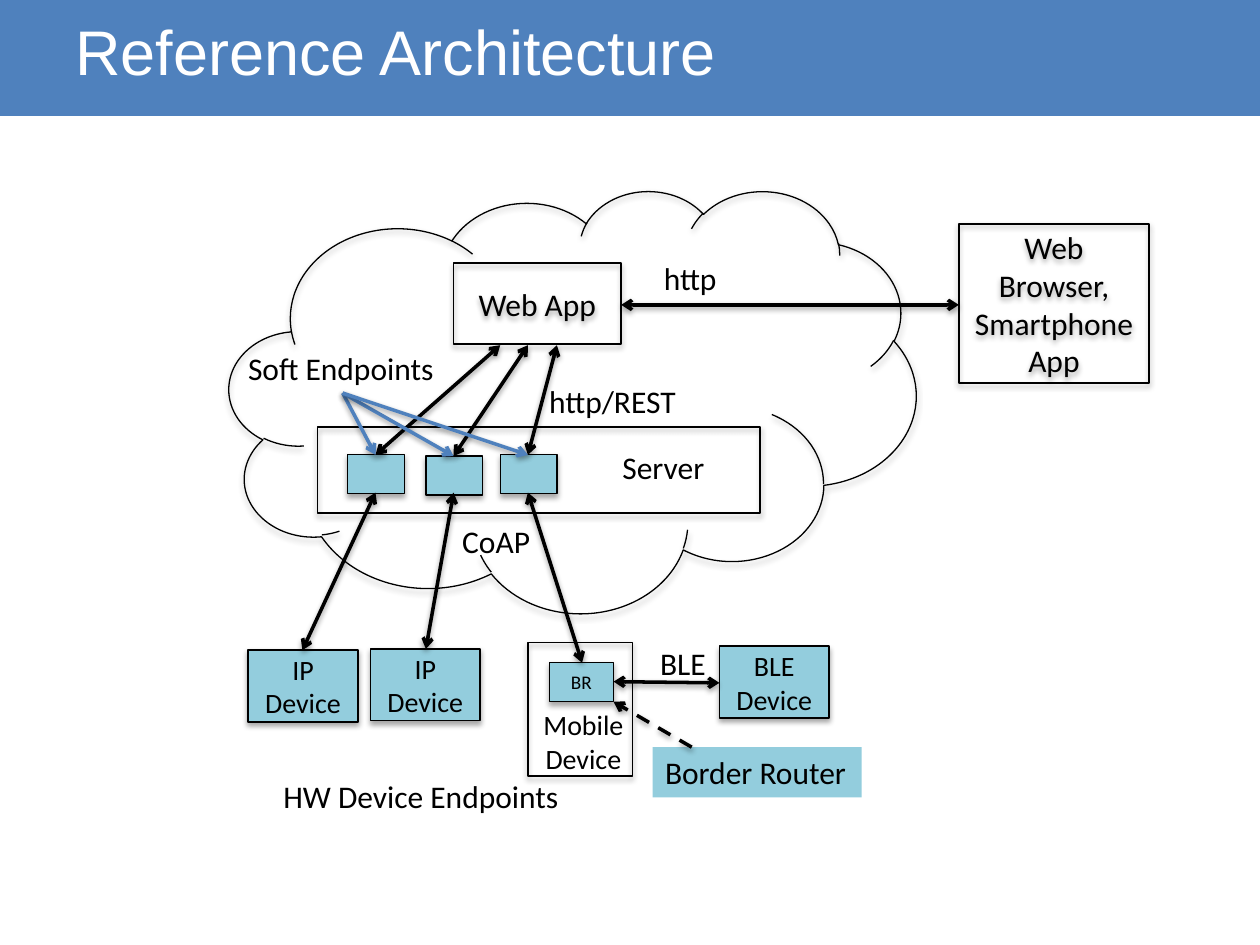
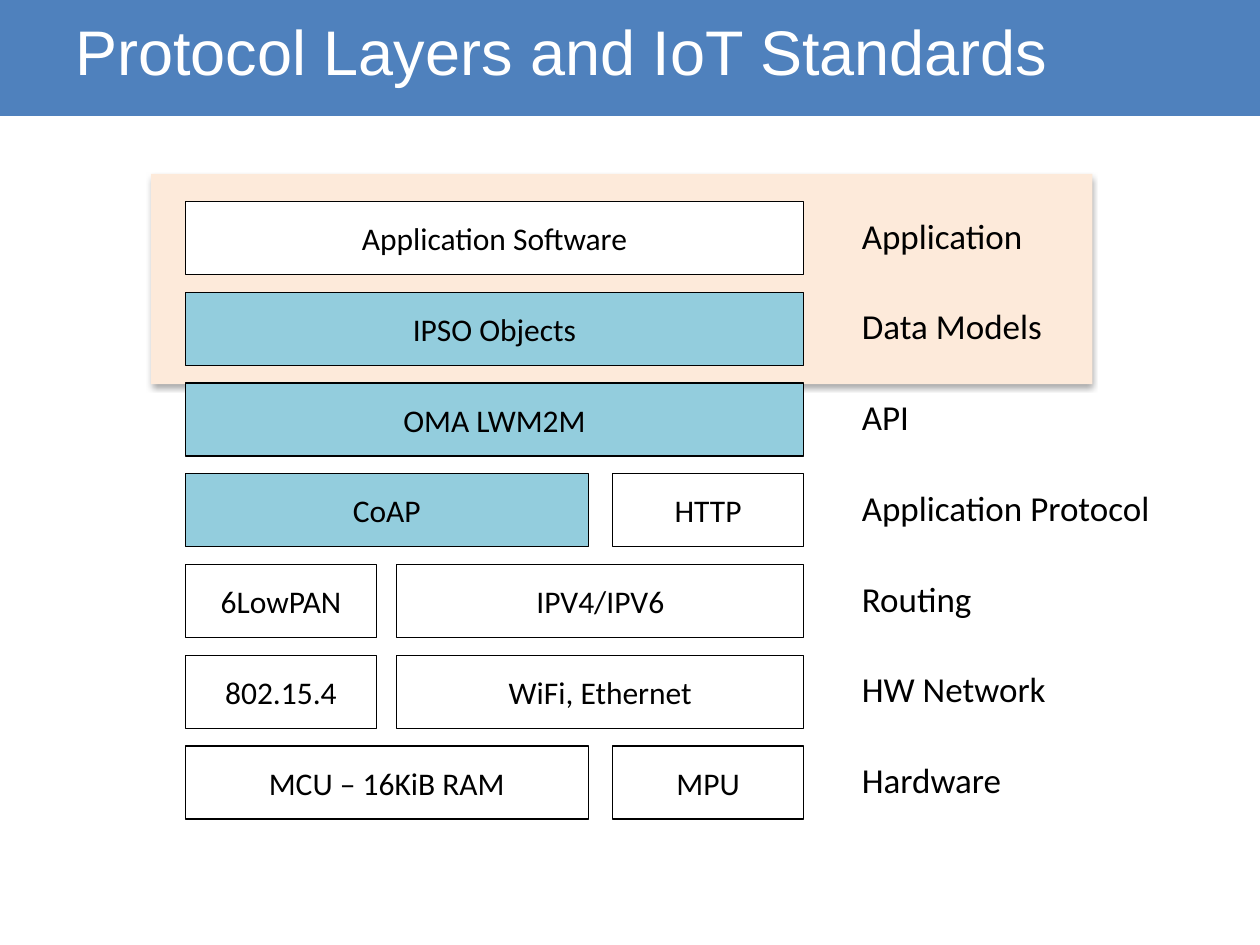
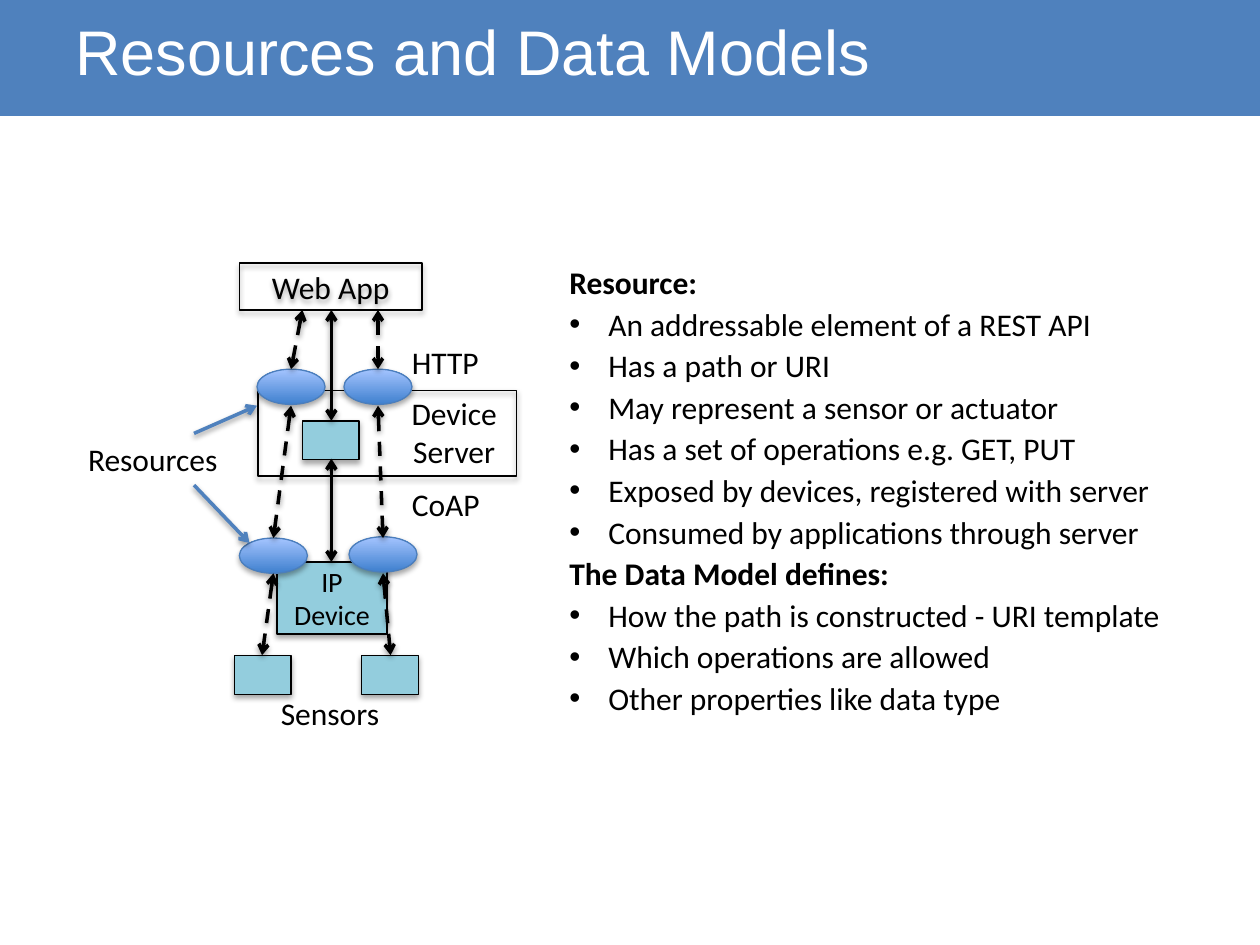
from pptx import Presentation
from pptx.dml.color import RGBColor as RGB
from pptx.enum.dml import MSO_LINE as Dash
from pptx.enum.shapes import MSO_CONNECTOR as Link, MSO_SHAPE as Kind
from pptx.enum.text import MSO_ANCHOR as Anchor, PP_ALIGN as Align
from pptx.oxml import parse_xml
from pptx.oxml.ns import nsdecls
from pptx.util import Inches, Pt

INK = {"blue": "4F81BD", "aqua": "93CDDD", "peach": "FDEADA", "black": "000000",
       "white": "FFFFFF", "deep": "3F80CE", "pale": "A4C4FF", "rim": "4B7EBC"}
NS = nsdecls("a")
SHADE = (f'<a:effectLst {NS}><a:outerShdw blurRad="40000" dist="%d" dir="5400000" '
         'rotWithShape="0"><a:srgbClr val="000000"><a:alpha val="%d"/></a:srgbClr>'
         '</a:outerShdw></a:effectLst>')


def box(page, x, y, w, h, text="", fill=None, line=None, size=18, kind=Kind.RECTANGLE,
        shade=False, color="black", font="Calibri", mid=True, wrap=True):
    """Add a shape, or a text box when kind is None; line is a width in points."""
    spot = [Inches(n) for n in (x, y, w, h)]
    shapes = page.shapes
    item = shapes.add_textbox(*spot) if kind is None else shapes.add_shape(kind, *spot)
    if fill:
        item.fill.solid()
        item.fill.fore_color.rgb = RGB.from_string(INK[fill])
    else:
        item.fill.background()
    if line:
        item.line.color.rgb = RGB.from_string(INK["black"])
        item.line.width = Pt(line)
    else:
        item.line.fill.background()
    if shade:
        item._element.spPr.append(parse_xml(SHADE % (23000, 35000)))
    else:
        item.shadow.inherit = False
    frame = item.text_frame
    frame.word_wrap = wrap
    frame.vertical_anchor = Anchor.MIDDLE if mid else Anchor.TOP
    if text:
        frame.text = text
        for para in frame.paragraphs:
            para.alignment = Align.CENTER if wrap else Align.LEFT
            face = para.runs[0].font
            face.name, face.size = font, Pt(size)
            face.color.rgb = RGB.from_string(INK[color])
    return item


def arrow(page, start, end, color="black", both=True, dash=False):
    link = page.shapes.add_connector(Link.STRAIGHT, *[Inches(n) for n in (*start, *end)])
    link.line.color.rgb = RGB.from_string(INK[color])
    link.line.width = Pt(2)
    if dash:
        link.line.dash_style = Dash.DASH
    for tip in ("headEnd", "tailEnd") if both else ("tailEnd",):
        link.line._get_or_add_ln().append(parse_xml(f'<a:{tip} {NS} type="arrow"/>'))
    link._element.spPr.append(parse_xml(SHADE % (20000, 38000)))


deck = Presentation()
deck.slide_width, deck.slide_height = Inches(10), Inches(7.5)

pages = []
for title in ("Reference Architecture", "Protocol Layers and IoT Standards",
              "Resources and Data Models"):
    page = deck.slides.add_slide(deck.slide_layouts[6])
    box(page, 0, 0, 10, 0.92, fill="blue")
    box(page, 0.5, -0.23, 9, 1.25, title, size=36, kind=None, color="white",
        font="Arial", wrap=False)
    pages.append(page)
arch, stack, model = pages

plain = dict(line=1, shade=True)
node = dict(fill="aqua", line=1, size=16, shade=True)
chip = dict(fill="aqua", line=0.75, shade=True)
label = dict(kind=None, mid=False, wrap=False)
block = dict(kind=None, mid=False)

# Reference architecture
box(arch, 4.19, 5.1, 0.83, 1.06, **plain)
box(arch, 2.52, 3.39, 3.51, 0.68, **plain)
box(arch, 3.6, 2.09, 1.33, 0.64, "Web App", **plain)
box(arch, 7.61, 1.78, 1.51, 1.26, "Web Browser, Smartphone App", **plain)
box(arch, 1.82, 1.51, 5.45, 3.35, line=0.75, kind=Kind.CLOUD, shade=True)
box(arch, 4.36, 5.26, 0.51, 0.31, "BR", size=11, **chip)
for x, y, text in ((5.71, 5.13, "BLE Device"), (2.94, 5.15, "IP Device"),
                   (1.97, 5.16, "IP Device")):
    box(arch, x, y, 0.87, 0.57, text, **node)
box(arch, 4.14, 5.57, 0.98, 0.64, "Mobile Device", size=16, **block)
box(arch, 4.46, 3.51, 1.61, 0.4, "Server", **block)
for x, y, w, text in ((5.17, 2.01, 0.63, "http"), (4.26, 2.98, 1.23, "http/REST"),
                      (3.57, 4.09, 0.75, "CoAP"), (5.14, 5.06, 0.57, "BLE"),
                      (1.87, 2.72, 1.69, "Soft Endpoints"),
                      (2.15, 6.12, 2.41, "HW Device Endpoints")):
    box(arch, x, y, w, 0.4, text, **label)
box(arch, 5.18, 5.93, 1.66, 0.4, "Border Router", fill="aqua", **label)

# Each soft endpoint: centre, top, its port on the web app, its device below
for mid, top, port, device in ((2.98, 3.61, 3.97, (2.4, 5.16)),
                               (3.6, 3.62, 4.19, (3.38, 5.15)),
                               (4.19, 3.61, 4.42, (4.62, 5.26))):
    box(arch, mid - 0.22, top, 0.45, 0.31, **chip)
    arrow(arch, (port, 2.74), (mid, top))
    arrow(arch, (mid, 3.91), device)
    arrow(arch, (2.72, 3.12), (mid, top), "blue", both=False)
arrow(arch, (7.61, 2.42), (4.93, 2.42))
arrow(arch, (4.87, 5.41), (5.71, 5.42))
arrow(arch, (5.49, 5.93), (4.87, 5.57), both=False, dash=True)

# Protocol layers
LEFT, RIGHT, TOP, STEP = 1.47, 6.38, 1.6, 0.72
layers = [
    ("Application", [("Application Software", 4.91, "white")]),
    ("Data Models", [("IPSO Objects", 4.91, "aqua")]),
    ("API", [("OMA LWM2M", 4.91, "aqua")]),
    ("Application Protocol", [("CoAP", 3.2, "aqua"), ("HTTP", 1.52, None)]),
    ("Routing", [("6LowPAN", 1.52, None), ("IPV4/IPV6", 3.23, None)]),
    ("HW Network", [("802.15.4", 1.52, None), ("WiFi, Ethernet", 3.23, None)]),
    ("Hardware", [("MCU – 16KiB RAM", 3.2, None), ("MPU", 1.52, None)]),
]
box(stack, 1.2, 1.38, 7.47, 1.67, fill="peach", shade=True)
for row, (name, cells) in enumerate(layers):
    y = TOP + row * STEP
    for col, (text, w, fill) in enumerate(cells):
        x = RIGHT - w if col else LEFT
        box(stack, x, y, w, 0.58, text, fill=fill, line=0.75)
    frame = box(stack, 6.84, y + 0.1, 2.5, 0.33, name, size=20, **label).text_frame
    frame.margin_left = frame.margin_right = frame.margin_top = frame.margin_bottom = 0

# Resources and data models
box(model, 2.05, 3.1, 2.05, 0.68, **plain)
box(model, 1.9, 2.09, 1.45, 0.37, "Web App", **plain)
box(model, 2.2, 4.46, 0.87, 0.57, "IP Device", **node)
for x, y in ((2.4, 3.34), (1.86, 5.2), (2.87, 5.2)):
    box(model, x, y, 0.45, 0.31, **chip)
box(model, 3.09, 3.08, 1.03, 0.71, "Device Server", **block)
for x, y, w, text in ((3.17, 2.67, 0.74, "HTTP"), (3.17, 3.8, 0.75, "CoAP"),
                      (0.6, 3.44, 1.25, "Resources"), (2.13, 5.46, 0.99, "Sensors")):
    box(model, x, y, w, 0.4, text, **label)
for x, y in ((1.9, 4.27), (2.77, 4.26), (2.04, 2.93), (2.73, 2.93)):
    oval = box(model, x, y, 0.54, 0.28, line=0.75, kind=Kind.OVAL, shade=True)
    oval.line.color.rgb = RGB.from_string(INK["rim"])
    oval.fill.gradient()
    oval.fill.gradient_angle = 90
    for stop, tint in zip(oval.fill.gradient_stops, ("deep", "pale")):
        stop.color.rgb = RGB.from_string(INK[tint])

arrow(model, (2.63, 2.46), (2.63, 3.34))
arrow(model, (2.63, 3.64), (2.63, 4.46))
# Each chain runs from web app to server resource, device resource and sensor
for port, high, low, end in ((2.4, 2.31, 2.17, 2.08), (3, 3, 3.04, 3.1)):
    arrow(model, (port, 2.46), (high, 2.93), dash=True)
    arrow(model, (high, 3.22), (low, 4.27), dash=True)
    arrow(model, (low, 4.55), (end, 5.2), dash=True)
arrow(model, (1.54, 3.44), (2.04, 3.22), "blue", both=False)
arrow(model, (1.54, 3.85), (1.98, 4.31), "blue", both=False)

notes = [
    "Resource:",
    "An addressable element of a REST API",
    "Has a path or URI",
    "May represent a sensor or actuator",
    "Has a set of operations e.g. GET, PUT",
    "Exposed by devices, registered with server",
    "Consumed by applications through server",
    "The Data Model defines:",
    "How the path is constructed - URI template",
    "Which operations are allowed",
    "Other properties like data type",
]
body = box(model, 4.42, 2.01, 4.94, 3.76, "\n".join(notes), **label)
for para in body.text_frame.paragraphs:
    para.line_spacing = 1.1
    if para.text.endswith(":"):
        para.runs[0].font.bold = True
        continue
    props = para._p.get_or_add_pPr()
    props.set("marL", str(Inches(0.31)))
    props.set("indent", str(-Inches(0.31)))
    props.append(parse_xml(f'<a:buFont {NS} typeface="Arial"/>'))
    props.append(parse_xml(f'<a:buChar {NS} char="•"/>'))

deck.save("out.pptx")
